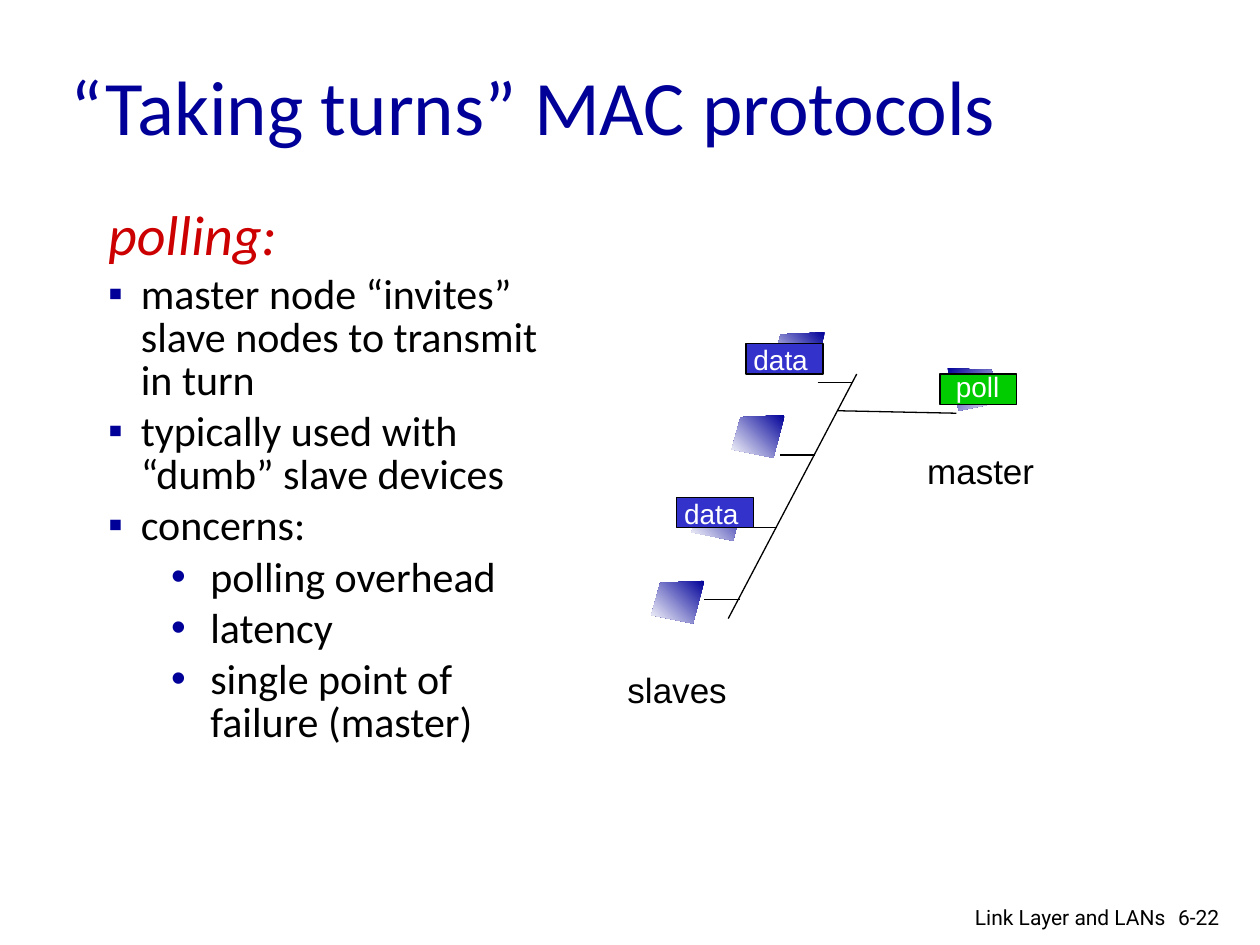
from dataclasses import dataclass

from lxml.etree import SubElement
from pptx import Presentation
from pptx.dml.color import RGBColor
from pptx.enum.shapes import MSO_CONNECTOR, MSO_SHAPE
from pptx.enum.text import MSO_ANCHOR, PP_ALIGN
from pptx.oxml.ns import qn
from pptx.util import Cm, Pt


@dataclass(frozen=True)
class Theme:
    navy: str = "000099"
    red: str = "CC0000"
    black: str = "000000"
    white: str = "FFFFFF"
    poll: str = "00CC00"
    data: str = "3333CC"
    title_size: int = 44
    heading_size: int = 32
    body_size: int = 24
    label_size: int = 20
    packet_size: int = 16
    footer_size: int = 12
    hairline: float = 0.75


theme = Theme()


def add_box(left, top, width, height, wrap=True, anchor=MSO_ANCHOR.TOP):
    frame = slide.shapes.add_textbox(Cm(left), Cm(top), Cm(width), Cm(height)).text_frame
    frame.word_wrap = wrap
    frame.vertical_anchor = anchor
    return frame


def write(frame, text, size, font="Arial", color=theme.black, italic=False,
          align=PP_ALIGN.LEFT, bullet=None, margin=0, hanging=0, spacing=None, before=0):
    first = frame.paragraphs[0]
    paragraph = first if not first.runs else frame.add_paragraph()
    paragraph.alignment = align
    if spacing:
        paragraph.line_spacing = spacing
    if before:
        paragraph.space_before = Pt(before)
    if bullet:
        properties = paragraph._p.get_or_add_pPr()
        properties.set("marL", str(Cm(margin)))
        properties.set("indent", str(-Cm(hanging)))
        bullet_color = SubElement(properties, qn("a:buClr"))
        SubElement(bullet_color, qn("a:srgbClr"), val=theme.navy)
        SubElement(properties, qn("a:buFont"), typeface="Arial")
        SubElement(properties, qn("a:buChar"), char=bullet)
    run = paragraph.add_run()
    run.text = text
    run.font.size = Pt(size)
    run.font.name = font
    run.font.italic = italic
    run.font.color.rgb = RGBColor.from_string(color)


presentation = Presentation()
presentation.slide_width, presentation.slide_height = Cm(25.4), Cm(19.05)
slide = presentation.slides.add_slide(presentation.slide_layouts[6])

# Nodes: four slaves along the bus, and the mirrored master
nodes = [(14.2 + 0.81 * i, 11.71 - 1.67 * i, -1) for i in range(4)]
nodes.append((19.1, 7.42, 1))
for x, y, side in nodes:
    outline = slide.shapes.build_freeform(Cm(x), Cm(y), scale=1.0)
    corners = [(0.89, 0.04), (1.07, 0.69), (0.23, 0.86)]
    outline.add_line_segments([(Cm(x + side * dx), Cm(y + dy)) for dx, dy in corners])
    node = outline.convert_to_shape()
    node.shadow.inherit = False
    node.line.fill.background()
    node.fill.gradient()
    node.fill.gradient_angle = 315 if side > 0 else 225
    for stop, position, color in zip(node.fill.gradient_stops, (0, 1), (theme.navy, theme.white)):
        stop.position = position
        stop.color.rgb = RGBColor.from_string(color)

# Polling notes
notes = add_box(1.93, 4.11, 9.6, 14.07)
write(notes, "polling:", theme.heading_size, font="Calibri", color=theme.red,
      italic=True, spacing=0.85)
points = [
    (0, "master node “invites” slave nodes to transmit in turn"),
    (0, "typically used with “dumb” slave devices"),
    (0, "concerns:"),
    (1, "polling overhead"),
    (1, "latency"),
    (1, "single point of failure (master)"),
]
levels = [("▪", 0.66, 0.66), ("•", 2.06, 0.79)]
for level, point in points:
    mark, margin, hanging = levels[level]
    write(notes, point, theme.body_size, font="Calibri", bullet=mark, margin=margin,
          hanging=hanging, spacing=0.85, before=4.8)

# Shared bus, master link and slave branches
wires = [(17.27, 7.54, 14.68, 12.47), (16.89, 8.28, 19.28, 8.33)]
for i in range(4):
    x, y = 14.2 + 0.76 * i, 12.09 - 1.46 * i
    wires.append((x, y, x + 0.71, y))
for ends in wires:
    wire = slide.shapes.add_connector(MSO_CONNECTOR.STRAIGHT, *[Cm(end) for end in ends])
    wire.line.color.rgb = RGBColor.from_string(theme.black)
    wire.line.width = Pt(theme.hairline)
    SubElement(wire._element.spPr, qn("a:effectLst"))

# Node labels
write(add_box(18.44, 8.94, 2.67, 1.09, wrap=False), "master", theme.label_size)
write(add_box(12.4, 13.36, 2.51, 1.09, wrap=False), "slaves", theme.label_size)

# Packets: frame position, then text offset and width
packets = [
    ("poll", theme.poll, 18.95, 7.54, 0.07, -0.22, 1.4),
    ("data", theme.data, 13.64, 10.03, -0.1, -0.15, 1.6),
    ("data", theme.data, 15.04, 6.93, -0.1, -0.15, 1.6),
]
for name, color, left, top, dx, dy, width in packets:
    packet = slide.shapes.add_shape(MSO_SHAPE.RECTANGLE, Cm(left), Cm(top), Cm(1.55), Cm(0.61))
    packet.shadow.inherit = False
    packet.fill.solid()
    packet.fill.fore_color.rgb = RGBColor.from_string(color)
    packet.line.color.rgb = RGBColor.from_string(theme.black)
    packet.line.width = Pt(theme.hairline)
    write(add_box(left + dx, top + dy, width, 0.94, wrap=False), name,
          theme.packet_size, color=theme.white)

# Title
write(add_box(1.17, 0.53, 21.59, 3.18, anchor=MSO_ANCHOR.MIDDLE),
      "“Taking turns” MAC protocols", theme.title_size, font="Calibri", color=theme.navy)

# Footer
write(add_box(23.5, 18.11, 1.52, 0.76), "6-22", theme.footer_size, font="Roboto")
write(add_box(17.7, 18.11, 6.05, 0.66), "Link Layer and LANs", theme.footer_size,
      font="Roboto", align=PP_ALIGN.RIGHT)

presentation.save("out.pptx")
